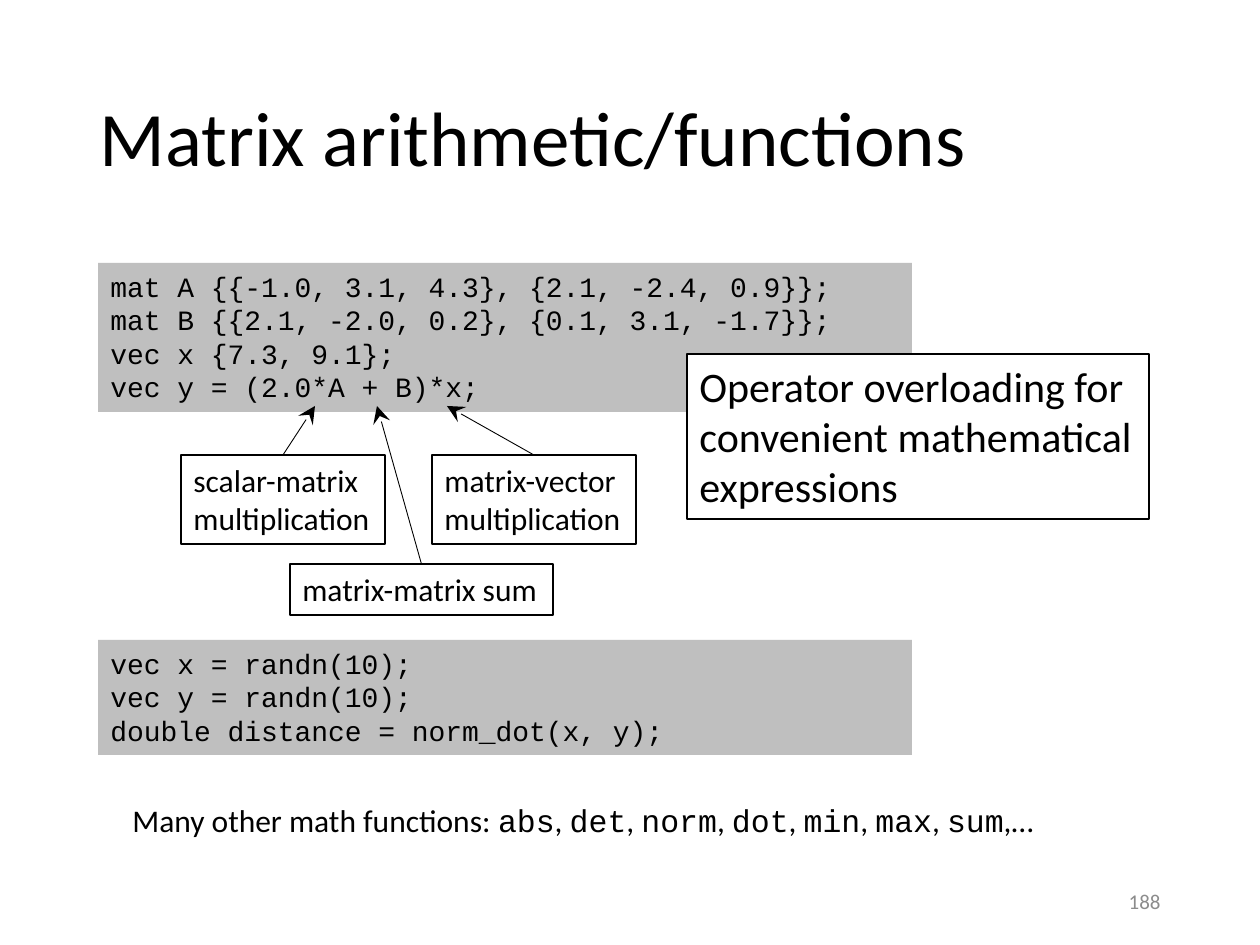
from lxml.etree import SubElement
from pptx import Presentation
from pptx.dml.color import RGBColor
from pptx.enum.shapes import MSO_CONNECTOR, MSO_SHAPE
from pptx.enum.text import MSO_ANCHOR, MSO_AUTO_SIZE, PP_ALIGN
from pptx.oxml.ns import qn
from pptx.util import Emu, Pt

SANS, MONO = "Calibri", "Courier New"
BLACK, WHITE, CODE_GRAY, NUMBER_GRAY = "000000", "FFFFFF", "BFBFBF", "8C8C8C"
CODE_LEFT, CODE_WIDTH = 98, 814
ARROW_END_Y = 406

MATRIX_CODE = [
    "mat A {{-1.0, 3.1, 4.3}, {2.1, -2.4, 0.9}};",
    "mat B {{2.1, -2.0, 0.2}, {0.1, 3.1, -1.7}};",
    "vec x {7.3, 9.1};",
    "vec y = (2.0*A + B)*x;",
]
DISTANCE_CODE = [
    "vec x = randn(10);",
    "vec y = randn(10);",
    "double distance = norm_dot(x, y);",
]
OPERATORS = [
    (["scalar-matrix", "multiplication"], (181, 455, 204, 89), 315),
    (["matrix-vector", "multiplication"], (432, 455, 204, 89), 447),
    (["matrix-matrix sum"], (290, 564, 263, 51), 377),
]
FUNCTIONS = ["abs", "det", "norm", "dot", "min", "max", "sum"]


def px(n):
    """Turn pixels at 126 to the inch into EMU."""
    return Emu(round(n * 914400 / 126))


def rgb(color):
    """Turn a hex string into a colour."""
    return RGBColor.from_string(color)


def add_run(p, text, size, font=SANS, color=BLACK):
    """Add one formatted run to a paragraph."""
    r = p.add_run()
    r.text = text
    r.font.size = Pt(size)
    r.font.name = font
    r.font.color.rgb = rgb(color)


def add_title(s, text, box):
    """Fill and place the title placeholder."""
    title = s.shapes.title
    title.left, title.top, title.width, title.height = map(px, box)
    tf = title.text_frame
    tf.auto_size = MSO_AUTO_SIZE.NONE
    tf.vertical_anchor = MSO_ANCHOR.MIDDLE
    p = tf.paragraphs[0]
    p.alignment = PP_ALIGN.LEFT
    p.line_spacing = 0.9
    add_run(p, text, 44)


def add_rect(s, box, fill, wrap):
    """Add a filled rectangle for left-aligned text."""
    sp = s.shapes.add_shape(MSO_SHAPE.RECTANGLE, *map(px, box))
    sp.shadow.inherit = False
    sp.fill.solid()
    sp.fill.fore_color.rgb = rgb(fill)
    sp.line.fill.background()
    tf = sp.text_frame
    tf.word_wrap = wrap
    tf.auto_size = MSO_AUTO_SIZE.SHAPE_TO_FIT_TEXT
    tf.vertical_anchor = MSO_ANCHOR.TOP
    tf.paragraphs[0].alignment = PP_ALIGN.LEFT
    return sp


def add_code(s, lines, top, height):
    """Add a gray code block with one paragraph per line."""
    tf = add_rect(s, (CODE_LEFT, top, CODE_WIDTH, height), CODE_GRAY, True).text_frame
    for i, line in enumerate(lines):
        p = tf.add_paragraph() if i else tf.paragraphs[0]
        p.alignment = PP_ALIGN.LEFT
        add_run(p, line, 16, MONO)


def add_note(s, lines, box, size):
    """Add an outlined white box with line breaks in its text."""
    sp = add_rect(s, box, WHITE, False)
    sp.line.color.rgb = rgb(BLACK)
    sp.line.width = Pt(0.75)
    p = sp.text_frame.paragraphs[0]
    for i, line in enumerate(lines):
        if i:
            p.add_line_break()
        add_run(p, line, size)
    return sp


def add_arrow(s, note, x, y):
    """Add a stealth arrow from the top of a note to a point."""
    cx = s.shapes.add_connector(MSO_CONNECTOR.STRAIGHT, 0, 0, px(x), px(y))
    cx.begin_connect(note, 0)
    cx.line.color.rgb = rgb(BLACK)
    cx.line.width = Pt(0.5)
    SubElement(cx.line._get_or_add_ln(), qn("a:tailEnd"), type="stealth", w="lg", len="lg")
    SubElement(cx._element.spPr, qn("a:effectLst"))


def add_text(s, box, wrap):
    """Add a text box and return its text frame."""
    tf = s.shapes.add_textbox(*map(px, box)).text_frame
    tf.word_wrap = wrap
    return tf


def add_function_list(s, box):
    """Add the sentence that lists the function names as code."""
    tf = add_text(s, box, False)
    tf.auto_size = MSO_AUTO_SIZE.SHAPE_TO_FIT_TEXT
    p = tf.paragraphs[0]
    add_run(p, "Many other math functions: ", 18)
    for name in FUNCTIONS:
        add_run(p, name, 18, MONO)
        add_run(p, ",…" if name == FUNCTIONS[-1] else ", ", 18)


def add_page_number(s, number, box):
    """Add the right-aligned page number."""
    tf = add_text(s, box, True)
    tf.vertical_anchor = MSO_ANCHOR.MIDDLE
    p = tf.paragraphs[0]
    p.alignment = PP_ALIGN.RIGHT
    add_run(p, number, 12, SANS, NUMBER_GRAY)


def main():
    """Build the slide and save it."""
    prs = Presentation()
    prs.slide_width, prs.slide_height = px(1260), px(945)
    s = prs.slides.add_slide(prs.slide_layouts[5])
    add_title(s, "Matrix arithmetic/functions", (87, 50, 1086, 183))
    add_page_number(s, "188", (890, 876, 283, 50))
    add_code(s, MATRIX_CODE, 263, 149)
    for lines, box, end_x in OPERATORS:
        add_arrow(s, add_note(s, lines, box, 18), end_x, ARROW_END_Y)
    overloading = ["Operator overloading for", "convenient mathematical", "expressions"]
    add_note(s, overloading, (687, 354, 462, 165), 24)
    add_code(s, DISTANCE_CODE, 640, 115)
    add_function_list(s, (120, 795, 927, 51))
    prs.save("out.pptx")


if __name__ == "__main__":
    main()
